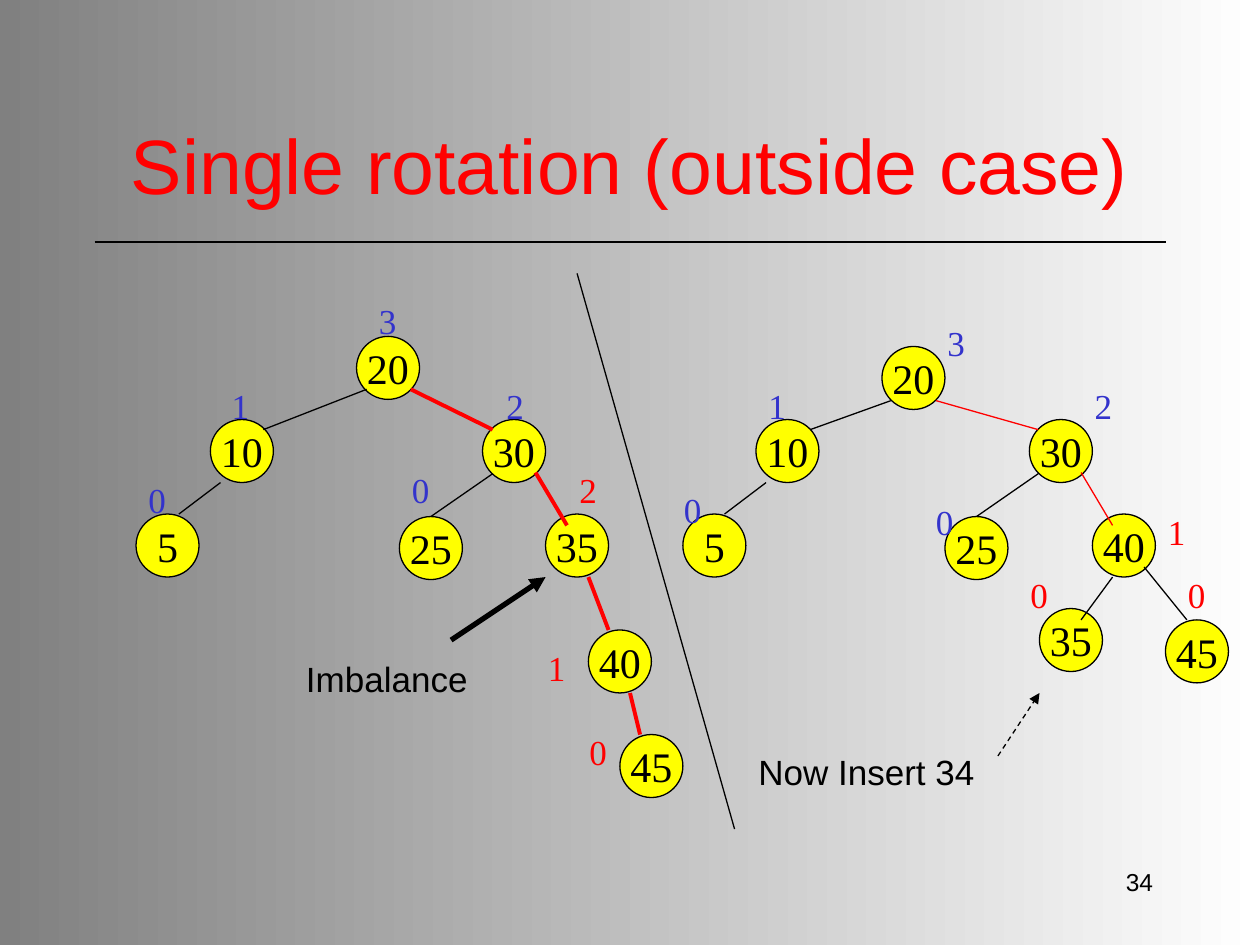
from typing import NamedTuple

from lxml.etree import SubElement as Sub
from pptx import Presentation
from pptx.dml.color import RGBColor as Rgb
from pptx.enum.dml import MSO_LINE as Dash
from pptx.enum.shapes import MSO_CONNECTOR as Conn, MSO_SHAPE as Kind
from pptx.enum.text import MSO_ANCHOR as Anchor, PP_ALIGN as Align
from pptx.oxml.ns import qn
from pptx.slide import Slide
from pptx.text.text import TextFrame as Frame
from pptx.util import Inches, Pt

HUES = {
    "black": "000000",
    "red": "FF0000",
    "blue": "3333CC",
    "yellow": "FFFF00",
    "white": "FFFFFF",
    "gray": "808080",
}
SERIF, SANS = "Times New Roman", "Arial"
NODE = 0.5


class Node(NamedTuple):
    key: str
    x: float
    y: float


class Mark(NamedTuple):
    text: str
    x: float
    y: float
    hue: str = "blue"


class Edge(NamedTuple):
    x: float
    y: float
    x2: float
    y2: float
    hue: str = "black"
    width: float = 0.75
    arrow: bool = False
    dash: bool = False


class Note(NamedTuple):
    text: str
    x: float
    y: float
    w: float
    h: float
    size: float = 20
    hue: str = "black"
    align: Align = Align.LEFT
    anchor: Anchor = Anchor.TOP


NODES = [
    Node("20", 2.83, 2.67), Node("10", 1.67, 3.33), Node("30", 3.83, 3.33),
    Node("5", 1.08, 4.08), Node("25", 3.17, 4.1), Node("35", 4.33, 4.08),
    Node("40", 4.67, 5), Node("45", 4.92, 5.83),
    Node("20", 7, 2.75), Node("10", 6, 3.33), Node("30", 8.17, 3.33),
    Node("5", 5.42, 4.08), Node("25", 7.5, 4.1), Node("40", 8.67, 4.08),
    Node("35", 8.25, 4.83), Node("45", 9.25, 4.92),
]
EDGES = [
    Edge(0.75, 1.92, 9.25, 1.92),
    Edge(4.58, 2.17, 5.83, 6.58),
    Edge(2.91, 3.09, 2.09, 3.41),
    Edge(3.26, 3.09, 3.91, 3.41, "red", 2.25),
    Edge(3.91, 3.76, 3.42, 4.1),
    Edge(4.25, 3.75, 4.5, 4.17, "red", 2.25),
    Edge(1.75, 3.83, 1.42, 4.08),
    Edge(4.67, 4.58, 4.83, 5, "red", 2.25),
    Edge(5, 5.5, 5.08, 5.83, "red", 2.25),
    Edge(7.07, 3.18, 6.43, 3.41),
    Edge(7.43, 3.18, 8.24, 3.41, "red"),
    Edge(8.24, 3.76, 7.75, 4.1),
    Edge(8.58, 3.75, 8.83, 4.17, "red"),
    Edge(6.08, 3.83, 5.75, 4.08),
    Edge(9.08, 4.5, 9.42, 4.92),
    Edge(8.83, 4.58, 8.58, 4.92),
    Edge(3.58, 5.08, 4.33, 4.58, width=3, arrow=True),
    Edge(7.92, 6, 8.25, 5.5, arrow=True, dash=True),
]
MARKS = [
    Mark("3", 2.91, 2.33), Mark("1", 1.74, 3), Mark("2", 3.92, 3),
    Mark("0", 1.08, 3.75), Mark("0", 3.17, 3.67), Mark("2", 4.5, 3.67, "red"),
    Mark("1", 4.25, 5.08, "red"), Mark("0", 4.58, 5.75, "red"),
    Mark("3", 7.42, 2.5), Mark("1", 6, 3), Mark("2", 8.59, 3),
    Mark("0", 5.33, 3.83), Mark("0", 7.33, 3.92), Mark("1", 9.17, 4, "red"),
    Mark("0", 8.08, 4.5, "red"), Mark("0", 9.33, 4.5, "red"),
]
NOTES = [
    Note("Single rotation (outside case)", 0.75, 0.67, 8.5, 1.25, 44, "red",
         Align.CENTER, Anchor.MIDDLE),
    Note("Imbalance", 2.33, 5.17, 1.5, 0.44),
    Note("Now Insert 34", 5.92, 5.91, 2.08, 0.44),
    Note("34", 7.17, 6.83, 2.08, 0.5, 14, align=Align.RIGHT),
]


def shade(name: str) -> Rgb:
    return Rgb.from_string(HUES[name])


def write(frame: Frame, text: str, size: float, face: str, hue: str,
          align: Align, anchor: Anchor, wrap: bool) -> None:
    frame.word_wrap = wrap
    frame.vertical_anchor = anchor
    para = frame.paragraphs[0]
    para.alignment = align
    run = para.add_run()
    run.text = text
    run.font.size = Pt(size)
    run.font.name = face
    run.font.color.rgb = shade(hue)


def draw_node(slide: Slide, node: Node) -> None:
    disc = slide.shapes.add_shape(Kind.OVAL, Inches(node.x), Inches(node.y),
                                  Inches(NODE), Inches(NODE))
    disc.shadow.inherit = False
    disc.fill.solid()
    disc.fill.fore_color.rgb = shade("yellow")
    disc.line.color.rgb = shade("black")
    disc.line.width = Pt(0.75)
    write(disc.text_frame, node.key, 24, SERIF, "black",
          Align.CENTER, Anchor.MIDDLE, False)


def draw_edge(slide: Slide, edge: Edge) -> None:
    line = slide.shapes.add_connector(
        Conn.STRAIGHT, Inches(edge.x), Inches(edge.y),
        Inches(edge.x2), Inches(edge.y2))
    line.line.color.rgb = shade(edge.hue)
    line.line.width = Pt(edge.width)
    if edge.dash:
        line.line.dash_style = Dash.DASH
    if edge.arrow:
        Sub(line.line._get_or_add_ln(), qn("a:tailEnd"), type="triangle")
    Sub(line._element.spPr, qn("a:effectLst"))


def draw_mark(slide: Slide, mark: Mark) -> None:
    box = slide.shapes.add_textbox(Inches(mark.x), Inches(mark.y),
                                   Inches(0.34), Inches(0.44))
    write(box.text_frame, mark.text, 20, SERIF, mark.hue,
          Align.LEFT, Anchor.TOP, False)


def draw_note(slide: Slide, note: Note) -> None:
    box = slide.shapes.add_textbox(Inches(note.x), Inches(note.y),
                                   Inches(note.w), Inches(note.h))
    write(box.text_frame, note.text, note.size, SANS, note.hue,
          note.align, note.anchor, True)


def main() -> None:
    """Build the slide on single rotation in a balanced tree."""
    deck = Presentation()
    deck.slide_width, deck.slide_height = Inches(10), Inches(7.5)
    slide = deck.slides.add_slide(deck.slide_layouts[6])
    fill = slide.background.fill
    fill.gradient()
    fill.gradient_angle = 180
    for stop, name in zip(fill.gradient_stops, ("white", "gray")):
        stop.color.rgb = shade(name)
    for node in NODES:
        draw_node(slide, node)
    for edge in EDGES:
        draw_edge(slide, edge)
    for mark in MARKS:
        draw_mark(slide, mark)
    for note in NOTES:
        draw_note(slide, note)
    deck.save("out.pptx")


if __name__ == "__main__":
    main()
